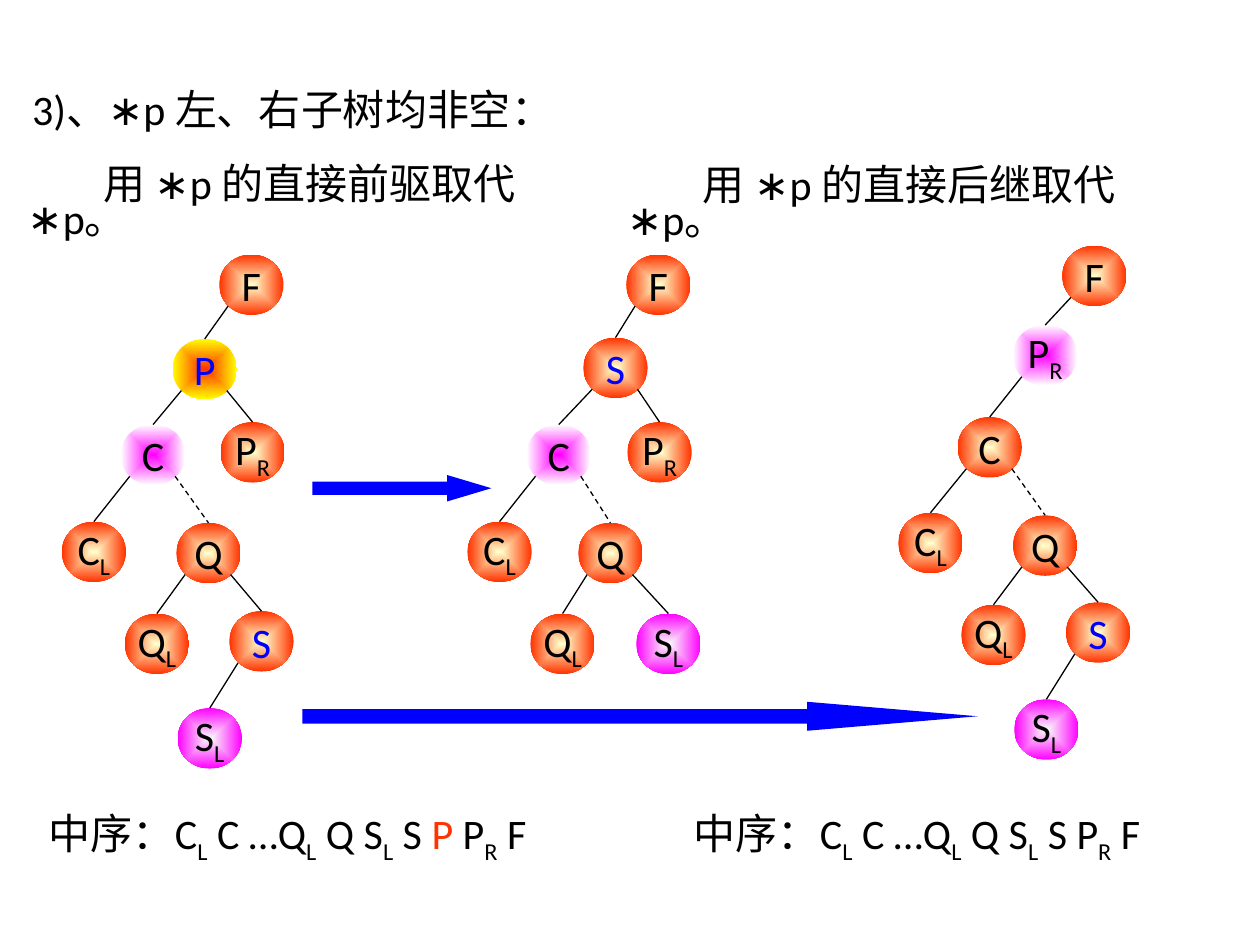
from lxml import etree
from pptx import Presentation
from pptx import util as u
from pptx.dml import color
from pptx.enum import dml, shapes, text
from pptx.oxml import ns

COLORS = {
    "black": "000000", "blue": "0000FF", "red": "FF3300", "yellow": "FFFF00",
    "cream": "FFFFCC", "magenta": "FF00FF", "pale": "F8F8F8", "white": "FFFFFF",
}
GRADIENTS = {
    "plain": ("cream", "red"), "deleted": ("red", "yellow"),
    "child": ("magenta", "white"), "leaf": ("pale", "magenta"),
}
MARGINS = {"margin_left": u.Inches(0.1), "margin_right": u.Inches(0.1),
           "margin_top": u.Inches(0.05), "margin_bottom": u.Inches(0.05)}
GROW = {"auto_size": text.MSO_AUTO_SIZE.SHAPE_TO_FIT_TEXT}
TOP = {"vertical_anchor": text.MSO_ANCHOR.TOP}
MIDDLE = {"vertical_anchor": text.MSO_ANCHOR.MIDDLE}
NODE_W, NODE_H = 0.51, 0.48


def rgb(name):
    return color.RGBColor.from_string(COLORS[name])


def write(shape, pieces, frame_format, paragraph_format):
    frame = shape.text_frame
    for name, value in {**MARGINS, **frame_format}.items():
        setattr(frame, name, value)
    paragraph = frame.paragraphs[0]
    for name, value in paragraph_format.items():
        setattr(paragraph, name, value)
    for wording, ink in pieces:
        for index, part in enumerate(wording.split("_")):
            spans = [(part[:1], "-25000"), (part[1:], "0")] if index else [(part, "0")]
            for span, baseline in spans:
                if span:
                    run = paragraph.add_run()
                    run.text = span
                    for name, value in {"size": u.Pt(24), "name": "Calibri"}.items():
                        setattr(run.font, name, value)
                    run.font.color.rgb = rgb(ink)
                    run.font._element.set("baseline", baseline)
    return paragraph


deck = Presentation()
deck.slide_width, deck.slide_height = u.Inches(10), u.Inches(7.5)
slide = deck.slides.add_slide(deck.slide_layouts[5])

heading = slide.shapes.title
place = {"left": 0.08, "top": 0.72, "width": 4.41, "height": 0.4}
for side, length in place.items():
    setattr(heading, side, u.Inches(length))
write(heading, [(" 3)、∗p 左、右子树均非空：", "black")],
      {**GROW, **TOP, "word_wrap": False},
      {"alignment": text.PP_ALIGN.LEFT, "line_spacing": 0.7})

for left, top, wording in [(0.12, 1.31, "用 ∗p 的直接前驱取代 ∗p。"),
                           (4.88, 1.32, "用 ∗p 的直接后继取代 ∗p。")]:
    method = slide.shapes.add_textbox(u.Inches(left), u.Inches(top), u.Inches(4.83), u.Inches(0.4))
    paragraph = write(method, [(wording, "black")], {**GROW, **TOP, "word_wrap": True},
                      {"line_spacing": 0.7})
    paragraph._p.get_or_add_pPr().set("indent", str(u.Inches(0.6)))

orders = [
    (0.29, 4.15, [("中序：C_L C …Q_L Q S_L S ", "black"), ("P", "red"), (" P_R F", "black")]),
    (5.41, 3.9, [("中序：C_L C …Q_L Q S_L S P_R F", "black")]),
]
for left, width, pieces in orders:
    order = slide.shapes.add_textbox(u.Inches(left), u.Inches(6.39), u.Inches(width), u.Inches(0.5))
    write(order, pieces, {**GROW, **MIDDLE, "word_wrap": False}, {})

for left, top, width, height, head in [(2.48, 3.77, 1.42, 0.21, 1.672),
                                       (2.4, 5.57, 5.36, 0.23, 5.887)]:
    step = slide.shapes.add_shape(shapes.MSO_SHAPE.RIGHT_ARROW, u.Inches(left), u.Inches(top),
                                  u.Inches(width), u.Inches(height))
    step.adjustments[0], step.adjustments[1] = 0.5, head
    step.fill.solid()
    step.fill.fore_color.rgb = rgb("blue")
    step.line.fill.background()
    step.shadow.inherit = False

trees = [
    [("F", 1.74, 2.02, "plain", "black", None),
     ("P", 1.37, 2.69, "deleted", "blue", "F"),
     ("C", 0.96, 3.37, "child", "black", "P"),
     ("P_R", 1.75, 3.35, "plain", "black", "P"),
     ("C_L", 0.49, 4.14, "plain", "black", "C"),
     ("Q", 1.4, 4.15, "plain", "black", "C"),
     ("Q_L", 0.99, 4.87, "plain", "black", "Q"),
     ("S", 1.82, 4.85, "plain", "blue", "Q"),
     ("S_L", 1.41, 5.62, "leaf", "black", "S")],
    [("F", 4.97, 2.02, "plain", "black", None),
     ("S", 4.63, 2.68, "plain", "blue", "F"),
     ("C", 4.18, 3.37, "child", "black", "S"),
     ("P_R", 4.98, 3.35, "plain", "black", "S"),
     ("C_L", 3.71, 4.14, "plain", "black", "C"),
     ("Q", 4.59, 4.15, "plain", "black", "C"),
     ("Q_L", 4.21, 4.87, "plain", "black", "Q"),
     ("S_L", 5.05, 4.87, "leaf", "black", "Q")],
    [("F", 8.43, 1.95, "plain", "black", None),
     ("P_R", 8.04, 2.58, "child", "black", "F"),
     ("C", 7.6, 3.31, "plain", "black", "P_R"),
     ("C_L", 7.13, 4.07, "plain", "black", "C"),
     ("Q", 8.04, 4.09, "plain", "black", "C"),
     ("Q_L", 7.63, 4.8, "plain", "black", "Q"),
     ("S", 8.46, 4.78, "plain", "blue", "Q"),
     ("S_L", 8.05, 5.55, "leaf", "black", "S")],
]
for tree in trees:
    members = slide.shapes.add_group_shape().shapes
    spots = {}
    for label, left, top, style, ink, parent in tree:
        node = members.add_shape(shapes.MSO_SHAPE.OVAL, u.Inches(left), u.Inches(top),
                                 u.Inches(NODE_W), u.Inches(NODE_H))
        node.fill.gradient()
        for stop, shade in zip(node.fill.gradient_stops, GRADIENTS[style]):
            stop.color.rgb = rgb(shade)
        gradient = node._element.spPr.find(ns.qn("a:gradFill"))
        gradient.remove(gradient.find(ns.qn("a:lin")))
        focus = etree.SubElement(gradient, ns.qn("a:path"), {"path": "shape"})
        etree.SubElement(focus, ns.qn("a:fillToRect"), dict.fromkeys("ltrb", "50000"))
        node.line.fill.background()
        node.shadow.inherit = False
        write(node, [(label, ink)], {**MIDDLE, "word_wrap": False},
              {"alignment": text.PP_ALIGN.CENTER})
        spots[label] = (left, top, node)

    for label, left, top, style, ink, parent in tree:
        if parent is None:
            continue
        parent_left, parent_top, _ = spots[parent]
        start = parent_left + (0.07 if left < parent_left else 0.43)
        branch = members.add_connector(shapes.MSO_CONNECTOR.STRAIGHT,
                                       u.Inches(start), u.Inches(parent_top + 0.41),
                                       u.Inches(left + NODE_W / 2), u.Inches(top))
        branch.end_connect(spots[label][2], 0)
        branch.line.color.rgb = rgb("black")
        branch.line.width = u.Pt(0.75)
        if (parent, label) == ("C", "Q"):
            branch.line.dash_style = dml.MSO_LINE.DASH
        etree.SubElement(branch._element.spPr, ns.qn("a:effectLst"))

deck.save("out.pptx")
